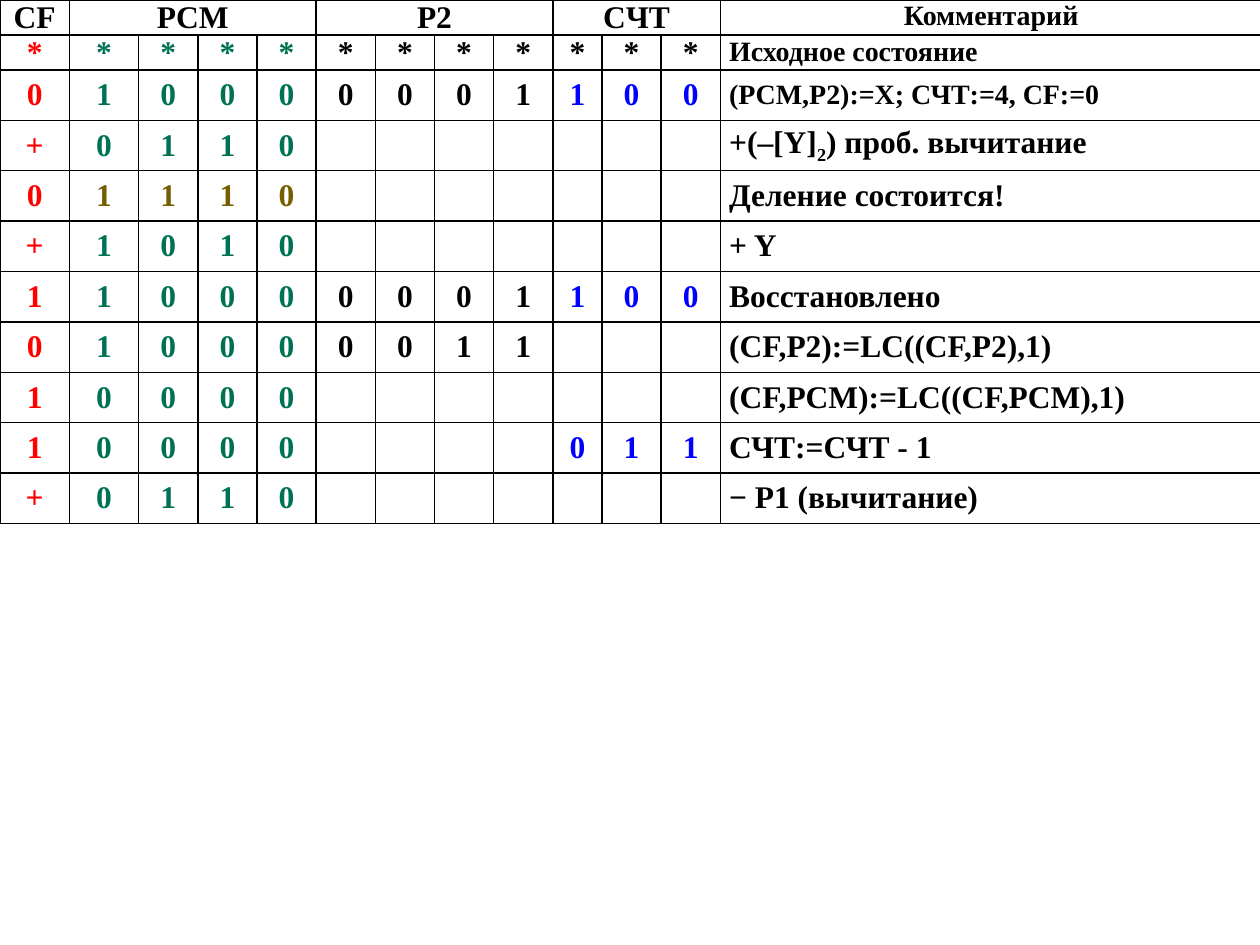
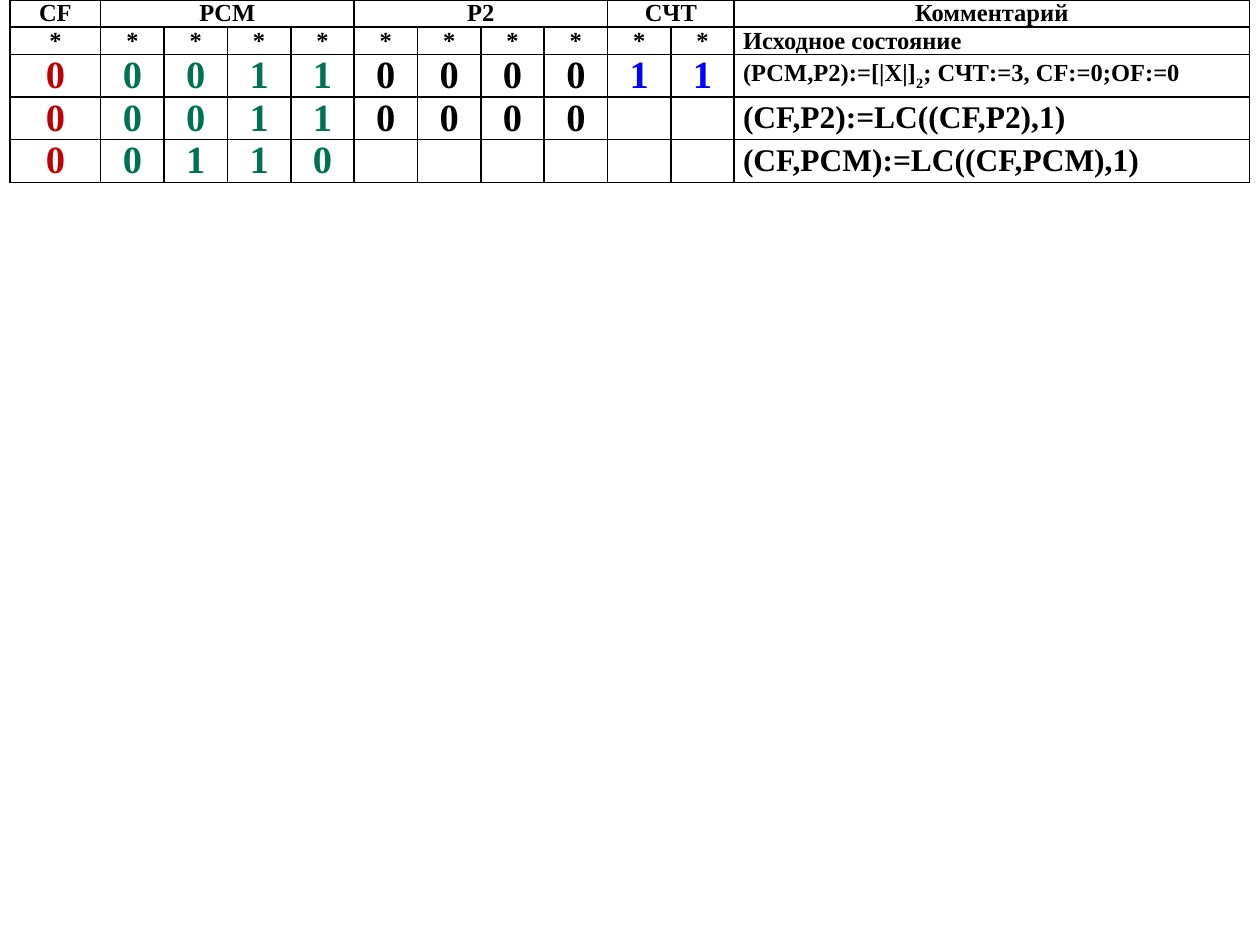
import pptx
import pptx.dml.color
import pptx.enum.text
import pptx.util
from lxml import etree
from pptx.oxml.ns import qn

RGBColor = pptx.dml.color.RGBColor
Inches = pptx.util.Inches
Pt = pptx.util.Pt
PP_ALIGN = pptx.enum.text.PP_ALIGN
MSO_ANCHOR = pptx.enum.text.MSO_ANCHOR

FONT = "Times New Roman"
BLACK = RGBColor(0x00, 0x00, 0x00)
RED = RGBColor(0xFF, 0x00, 0x00)
DARK_RED = RGBColor(0xC0, 0x00, 0x00)
GREEN = RGBColor(0x00, 0x72, 0x54)
OLIVE = RGBColor(0x74, 0x5E, 0x00)
BLUE = RGBColor(0x00, 0x00, 0xFF)

REGISTERS = ["CF", "PCM", "P2", "CЧТ"]
COMMENT_TITLE = "Комментарий"
INITIAL_STATE = "Исходное состояние"


def style_cell(cell):
    """Give the cell thin black borders, no fill and narrow margins."""
    properties = cell._tc.get_or_add_tcPr()
    for side in ("a:lnL", "a:lnR", "a:lnT", "a:lnB"):
        line = etree.SubElement(properties, qn(side), w=str(Pt(1)))
        fill = etree.SubElement(line, qn("a:solidFill"))
        etree.SubElement(fill, qn("a:srgbClr"), val=str(BLACK))
    cell.fill.background()
    cell.margin_left = cell.margin_right = Inches(0.07)
    cell.margin_top = cell.margin_bottom = 0
    cell.vertical_anchor = MSO_ANCHOR.MIDDLE


def write_cell(cell, text, size, color=BLACK, alignment=PP_ALIGN.CENTER):
    """Write bold text; the character after an underscore becomes a subscript."""
    paragraph = cell.text_frame.paragraphs[0]
    paragraph.alignment = alignment
    paragraph.space_after = Pt(1)
    before, _, after = text.partition("_")
    for part, is_subscript in ((before, False), (after[:1], True), (after[1:], False)):
        if not part:
            continue
        run = paragraph.add_run()
        run.text = part
        run.font.name = FONT
        run.font.size = Pt(size)
        run.font.bold = True
        run.font.color.rgb = color
        if is_subscript:
            run._r.get_or_add_rPr().set("baseline", "-25000")


# Each step: CF, PCM, P2, counter, colours of the four registers, comment, comment size
DIVISION_COLORS = [RED, GREEN, BLACK, BLUE]
SHIFT_COLORS = [DARK_RED, GREEN, BLACK, BLUE]
traces = [
    {
        "left": 0,
        "columns": [0.55, 0.55] + [0.47] * 7 + [0.39, 0.47, 0.47, 4.3],
        "rows": [0.27] * 2 + [0.4] * 9,
        "register_widths": [1, 4, 4, 3],
        "header_sizes": (18, 16),
        "digit_size": 18,
        "steps": [
            ("*", "****", "****", "***", [RED, GREEN, BLACK, BLACK], INITIAL_STATE, 16),
            ("0", "1000", "0001", "100", DIVISION_COLORS, "(РСМ,Р2):=Х; СЧТ:=4, CF:=0", 16),
            ("+", "0110", "", "", DIVISION_COLORS, "+(–[Y]_2) проб. вычитание", 18),
            ("0", "1110", "", "", [RED, OLIVE, BLACK, BLUE], "Деление состоится!", 18),
            ("+", "1010", "", "", DIVISION_COLORS, "+ Y", 18),
            ("1", "1000", "0001", "100", DIVISION_COLORS, "Восстановлено", 18),
            ("0", "1000", "0011", "", DIVISION_COLORS, "(CF,P2):=LC((CF,P2),1)", 18),
            ("1", "0000", "", "", DIVISION_COLORS, "(CF,PСМ):=LC((CF,PСМ),1)", 18),
            ("1", "0000", "", "011", DIVISION_COLORS, "СЧТ:=СЧТ - 1", 18),
            ("+", "0110", "", "", DIVISION_COLORS, "− Р1 (вычитание)", 18),
        ],
    },
    {
        "left": 0.08,
        "columns": [0.72] + [0.503] * 10 + [4.09],
        "rows": [0.15] * 2 + [0.3] * 3,
        "register_widths": [1, 4, 4, 2],
        "header_sizes": (14, 14),
        "digit_size": 22,
        "steps": [
            ("*", "****", "****", "**", [BLACK] * 4, INITIAL_STATE, 14),
            ("0", "0011", "0000", "11", SHIFT_COLORS, "(РСМ,Р2):=[|Х|]_2; СЧТ:=3, CF:=0;OF:=0", 14),
            ("0", "0011", "0000", "", SHIFT_COLORS, "(CF,P2):=LC((CF,P2),1)", 18),
            ("0", "0110", "", "", SHIFT_COLORS, "(CF,PСМ):=LC((CF,PСМ),1)", 18),
        ],
    },
]

presentation = pptx.Presentation()
presentation.slide_width = Inches(10)
presentation.slide_height = Inches(7.5)

for trace in traces:
    slide = presentation.slides.add_slide(presentation.slide_layouts[6])
    columns, rows = trace["columns"], trace["rows"]
    table = slide.shapes.add_table(
        len(rows), len(columns), Inches(trace["left"]), 0,
        Inches(sum(columns)), Inches(sum(rows)),
    ).table
    table.first_row = table.horz_banding = False
    for column, width in zip(table.columns, columns):
        column.width = Inches(width)
    for row, height in zip(table.rows, rows):
        row.height = Inches(height)
    for cell in table.iter_cells():
        style_cell(cell)

    widths = trace["register_widths"]
    starts = [sum(widths[:index]) for index in range(len(widths))]
    comment_column = len(columns) - 1

    # Header row
    header_size, comment_title_size = trace["header_sizes"]
    for name, start, width in zip(REGISTERS, starts, widths):
        if width > 1:
            table.cell(0, start).merge(table.cell(0, start + width - 1))
        write_cell(table.cell(0, start), name, header_size)
    write_cell(table.cell(0, comment_column), COMMENT_TITLE, comment_title_size)
    for cell in table.rows[0].cells:
        cell.vertical_anchor = MSO_ANCHOR.TOP

    # Register contents and comment of each step
    for row_index, step in enumerate(trace["steps"], start=1):
        *registers, colors, comment, comment_size = step
        digit_size = header_size if row_index == 1 else trace["digit_size"]
        for digits, start, color in zip(registers, starts, colors):
            for offset, digit in enumerate(digits):
                write_cell(table.cell(row_index, start + offset), digit, digit_size, color)
        write_cell(table.cell(row_index, comment_column), comment, comment_size,
                   alignment=PP_ALIGN.LEFT)

presentation.save("out.pptx")
